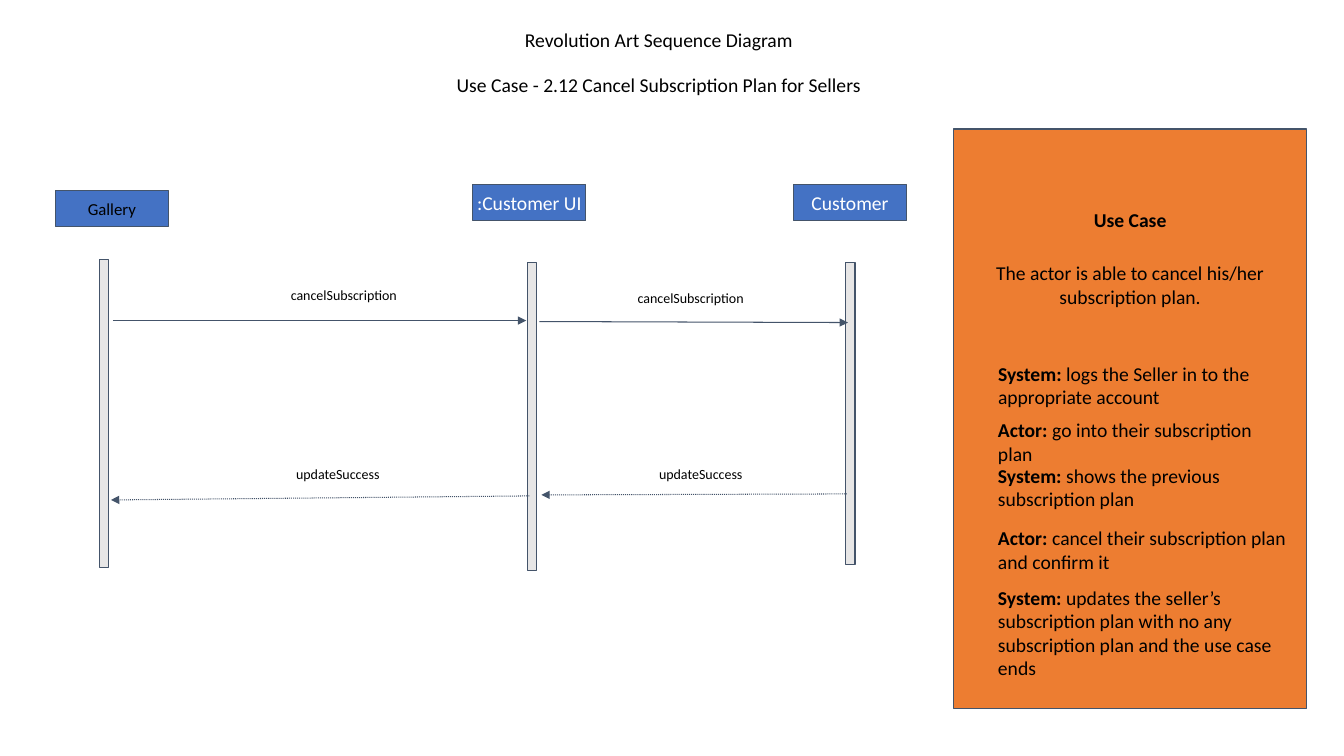
import pptx
import pptx.util
import pptx.dml.color
import pptx.enum.dml
import pptx.enum.shapes
import pptx.enum.text
import pptx.oxml

Inches, Pt = pptx.util.Inches, pptx.util.Pt
MSO = pptx.enum.shapes
ALIGN = pptx.enum.text.PP_ALIGN
BLACK, WHITE, SLATE = "000000", "FFFFFF", "44546A"
BLUE, GREY, ORANGE = "4472C4", "E7E6E6", "ED7D31"


def color(value):
    return pptx.dml.color.RGBColor.from_string(value)


def write(tf, runs, size, ink=BLACK, align=ALIGN.CENTER, inset=0.1, wrap=True):
    """Fill a text frame with one paragraph of (text, bold) runs."""
    for side in ("left", "top", "right", "bottom"):
        setattr(tf, f"margin_{side}", Inches(inset))
    tf.word_wrap = wrap
    p = tf.paragraphs[0]
    p.alignment = align
    for text, bold in runs:
        r = p.add_run()
        r.text = text
        font = {"name": "Calibri", "size": Pt(size), "bold": bold}
        for key, value in font.items():
            setattr(r.font, key, value)
        r.font.color.rgb = color(ink)


def add_text(s, box, runs, size=14, align=ALIGN.CENTER):
    sp = s.shapes.add_textbox(*map(Inches, box))
    write(sp.text_frame, runs, size, align=align)


def add_rect(s, box, fill):
    sp = s.shapes.add_shape(MSO.MSO_SHAPE.RECTANGLE, *map(Inches, box))
    sp.shadow.inherit = False
    sp.fill.solid()
    sp.fill.fore_color.rgb = color(fill)
    sp.line.color.rgb = color(SLATE)
    sp.line.width = Pt(0.75)
    return sp


def add_titles(s, left, top, width):
    titles = ("Revolution Art Sequence Diagram",
              "Use Case - 2.12 Cancel Subscription Plan for Sellers")
    for i, title in enumerate(titles):
        add_text(s, (left, top + i * 0.44, width, 0.44), [(title, False)])


def add_lifeline(s, center, top, name, size, ink, bar_top, bar_height):
    """Draw a named head and the activation bar below it."""
    head = add_rect(s, (center - 0.56, top, 1.12, 0.36), BLUE)
    write(head.text_frame, [(name, False)], size, ink, inset=0, wrap=False)
    head.text_frame.vertical_anchor = pptx.enum.text.MSO_ANCHOR.MIDDLE
    add_rect(s, (bar_top[0], bar_top[1], 0.09, bar_height), GREY)


def add_message(s, start, end, name, label_center, label_top, reply=False):
    """Draw an arrow with its label; a reply is dotted."""
    line = s.shapes.add_connector(MSO.MSO_CONNECTOR.STRAIGHT,
                                  *map(Inches, start + end))
    line.line.color.rgb = color(SLATE)
    line.line.width = Pt(0.75)
    if reply:
        line.line.dash_style = pptx.enum.dml.MSO_LINE.ROUND_DOT
    ns = 'xmlns:a="http://schemas.openxmlformats.org/drawingml/2006/main"'
    line.line._get_or_add_ln().append(
        pptx.oxml.parse_xml(f'<a:tailEnd {ns} type="triangle"/>'))
    line._element.spPr.append(pptx.oxml.parse_xml(f"<a:effectLst {ns}/>"))
    width = 1.83 if reply else 2.7
    add_text(s, (label_center - width / 2, label_top, width, 0.37),
             [(name, False)], 10)


def add_use_case(s, left, top, width, height):
    add_rect(s, (left, top, width, height), ORANGE)
    add_text(s, (left, top + 0.68, width, 0.44), [("Use Case", True)])
    add_text(s, (left, top + 1.21, width, 0.67),
             [("The actor is able to cancel his/her subscription plan.", False)])
    steps = (
        (2.21, 2.89, "System: ", "logs the Seller in to the appropriate account"),
        (2.77, 3.06, "Actor: ", "go into their subscription plan"),
        (3.22, 3.06, "System: ", "shows the previous subscription plan"),
        (3.84, 3.06, "Actor: ", "cancel their subscription plan and confirm it"),
        (4.43, 3.06, "System: ", "updates the seller’s subscription plan with no "
         "any subscription plan and the use case ends"),
    )
    for offset, step_width, who, action in steps:
        add_text(s, (left + 0.34, top + offset, step_width, 0.67),
                 [(who, True), (action, False)], align=ALIGN.LEFT)


def add_sequence(s, left, top):
    lifelines = (
        (0.56, 0.06, "Gallery", 12, BLACK, 0.44, 0.74, 3.06),
        (4.7, 0, ":Customer UI", 14, WHITE, 4.68, 0.77, 3.06),
        (7.88, 0, "Customer", 14, WHITE, 7.84, 0.77, 3),
    )
    for x, y, name, size, ink, bar_x, bar_y, bar_height in lifelines:
        add_lifeline(s, left + x, top + y, name, size, ink,
                     (left + bar_x, top + bar_y), bar_height)
    messages = (
        ((0.57, 1.35), (4.67, 1.35), "cancelSubscription", 2.86, 0.93, False),
        ((4.8, 1.36), (7.86, 1.37), "cancelSubscription", 6.3, 0.96, False),
        ((7.85, 3.07), (4.82, 3.08), "updateSuccess", 6.4, 2.7, True),
        ((4.7, 3.09), (0.55, 3.13), "updateSuccess", 2.8, 2.7, True),
    )
    for start, end, name, label_x, label_y, reply in messages:
        add_message(s, (left + start[0], top + start[1]),
                    (left + end[0], top + end[1]),
                    name, left + label_x, top + label_y, reply)


def main():
    prs = pptx.Presentation()
    prs.slide_width, prs.slide_height = Inches(13.33), Inches(7.5)
    s = prs.slides.add_slide(prs.slide_layouts[6])
    add_titles(s, 3.69, 0.18, 5.69)
    add_sequence(s, 0.55, 1.83)
    add_use_case(s, 9.46, 1.28, 3.5, 5.75)
    prs.save("out.pptx")


if __name__ == "__main__":
    main()
